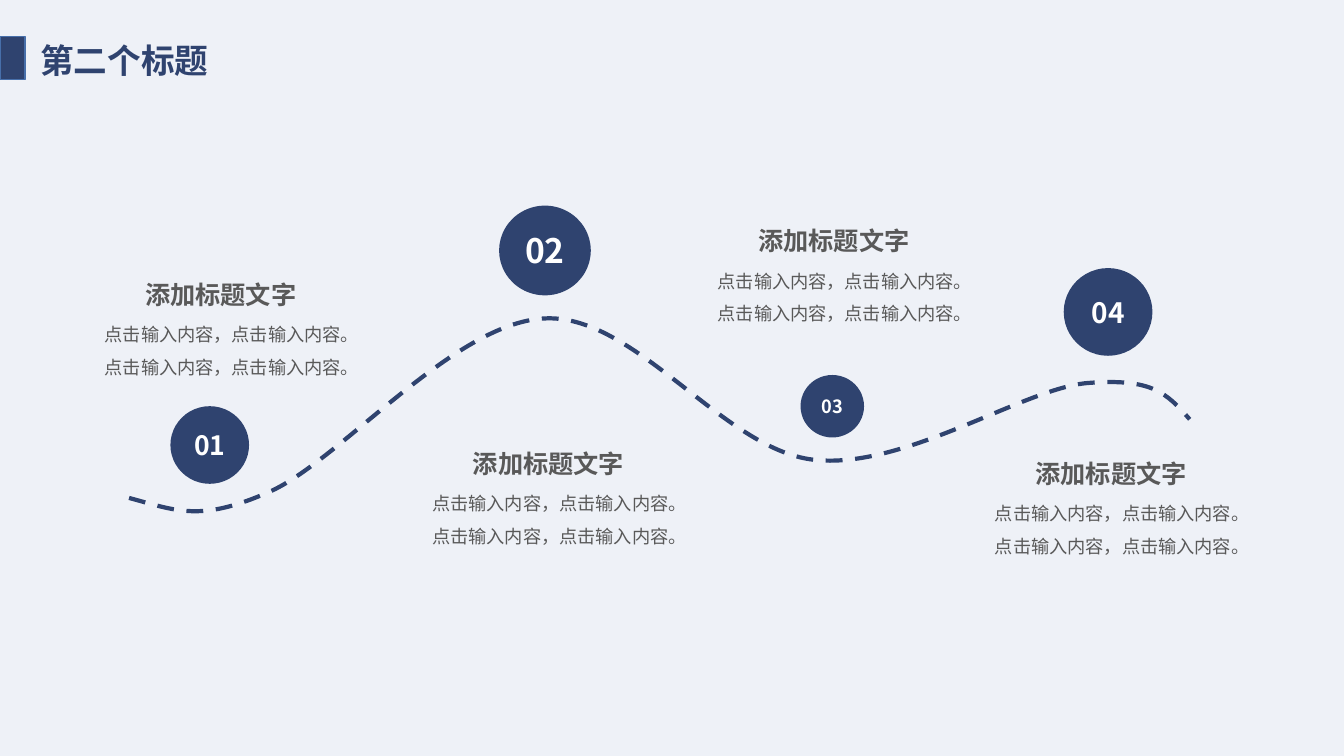
from lxml import etree
from pptx import Presentation
from pptx.dml.color import RGBColor
from pptx.enum.dml import MSO_LINE
from pptx.enum.shapes import MSO_SHAPE as SHAPE
from pptx.enum.text import MSO_ANCHOR as ANCHOR, MSO_AUTO_SIZE as FIT, PP_ALIGN as ALIGN
from pptx.oxml.ns import qn
from pptx.util import Inches, Pt

FONT = "Noto Sans CJK SC"
NAVY, GREY, WHITE = "2F436F", "595959", "FFFFFF"


def color(part, code):
    """Colour a fill or a font."""
    if hasattr(part, "solid"):
        part.solid()
        part.fore_color.rgb = RGBColor.from_string(code)
    else:
        part.color.rgb = RGBColor.from_string(code)


def write(shape, text, size, code, bold=False, align=ALIGN.LEFT,
          anchor=ANCHOR.TOP, space=1.0, wrap=True):
    """Put formatted text into a shape."""
    frame = shape.text_frame
    frame.text = text
    frame.word_wrap = wrap
    frame.auto_size = FIT.NONE
    frame.vertical_anchor = anchor
    para = frame.paragraphs[0]
    para.alignment = align
    para.line_spacing = space
    run = para.runs[0]
    run.font.name = FONT
    run.font.size = Pt(size)
    run.font.bold = bold
    color(run.font, code)
    etree.SubElement(run.font._element, qn("a:ea"), typeface=FONT)


deck = Presentation()
deck.slide_width, deck.slide_height = Inches(13.33), Inches(7.5)
slide = deck.slides.add_slide(deck.slide_layouts[5])
shapes = slide.shapes
color(slide.background.fill, "EEF1F7")

# Title
title = shapes.title
title.left, title.top = Inches(0.3), Inches(0.35)
title.width, title.height = Inches(3.11), Inches(0.5)
write(title, "第二个标题", 24, NAVY, bold=True)

# Title marker
mark = shapes.add_shape(SHAPE.RECTANGLE, 0, Inches(0.36), Inches(0.25), Inches(0.43))
mark.shadow.inherit = False
color(mark.fill, NAVY)
color(mark.line.fill, "476FAA")
mark.line.width = Pt(1)

# Dashed wave: start point, then two handles and an end for each curve
wave = [
    (1.28, 4.94),
    (1.76, 5.07), (1.99, 5.18), (2.67, 4.88),
    (3.36, 4.58), (4.49, 3.21), (5.39, 3.16),
    (6.29, 3.1), (7.16, 4.45), (8.06, 4.56),
    (8.96, 4.67), (10.15, 3.85), (10.79, 3.8),
    (11.43, 3.75), (11.57, 3.9), (11.8, 4.16),
]
spots = [(Inches(x), Inches(y)) for x, y in wave]
build = shapes.build_freeform(*spots[0])
build.add_line_segments(spots[1:], close=False)
curve = build.convert_to_shape()
curve.shadow.inherit = False
curve.fill.background()
color(curve.line.fill, NAVY)
curve.line.width = Pt(3)
curve.line.dash_style = MSO_LINE.DASH

# Turn each three line segments into one cubic curve
lines = list(curve._element.iter(qn("a:lnTo")))
track = lines[0].getparent()
for i in range(0, len(lines), 3):
    cubic = etree.SubElement(track, qn("a:cubicBezTo"))
    for line in lines[i:i + 3]:
        cubic.append(line[0])
        track.remove(line)

# Numbered circles: left, top, width, height, text size
dots = [
    (1.69, 4.03, 0.78, 0.77, 19),
    (4.95, 2.04, 0.91, 0.89, 24),
    (7.94, 3.72, 0.63, 0.62, 13),
    (10.55, 2.66, 0.88, 0.87, 20),
]
for num, (*place, size) in enumerate(dots, 1):
    dot = shapes.add_shape(SHAPE.OVAL, *map(Inches, place))
    dot.shadow.inherit = False
    color(dot.fill, NAVY)
    dot.line.fill.background()
    write(dot, f"{num:02}", size, WHITE, bold=True, align=ALIGN.CENTER,
          anchor=ANCHOR.MIDDLE, wrap=False)

# Captions: a heading over a text, grouped
for x, y in [(0.94, 2.66), (4.19, 4.34), (7.02, 2.13), (9.77, 4.44)]:
    group = shapes.add_group_shape()
    body = group.shapes.add_textbox(Inches(x), Inches(y + 0.39), Inches(2.65), Inches(0.76))
    write(body, "点击输入内容，点击输入内容。" * 2, 13, GREY, space=1.5)
    head = group.shapes.add_textbox(Inches(x + 0.1), Inches(y), Inches(2.3), Inches(0.46))
    write(head, "添加标题文字", 18, GREY, bold=True, align=ALIGN.CENTER, space=1.2)

deck.save("out.pptx")
